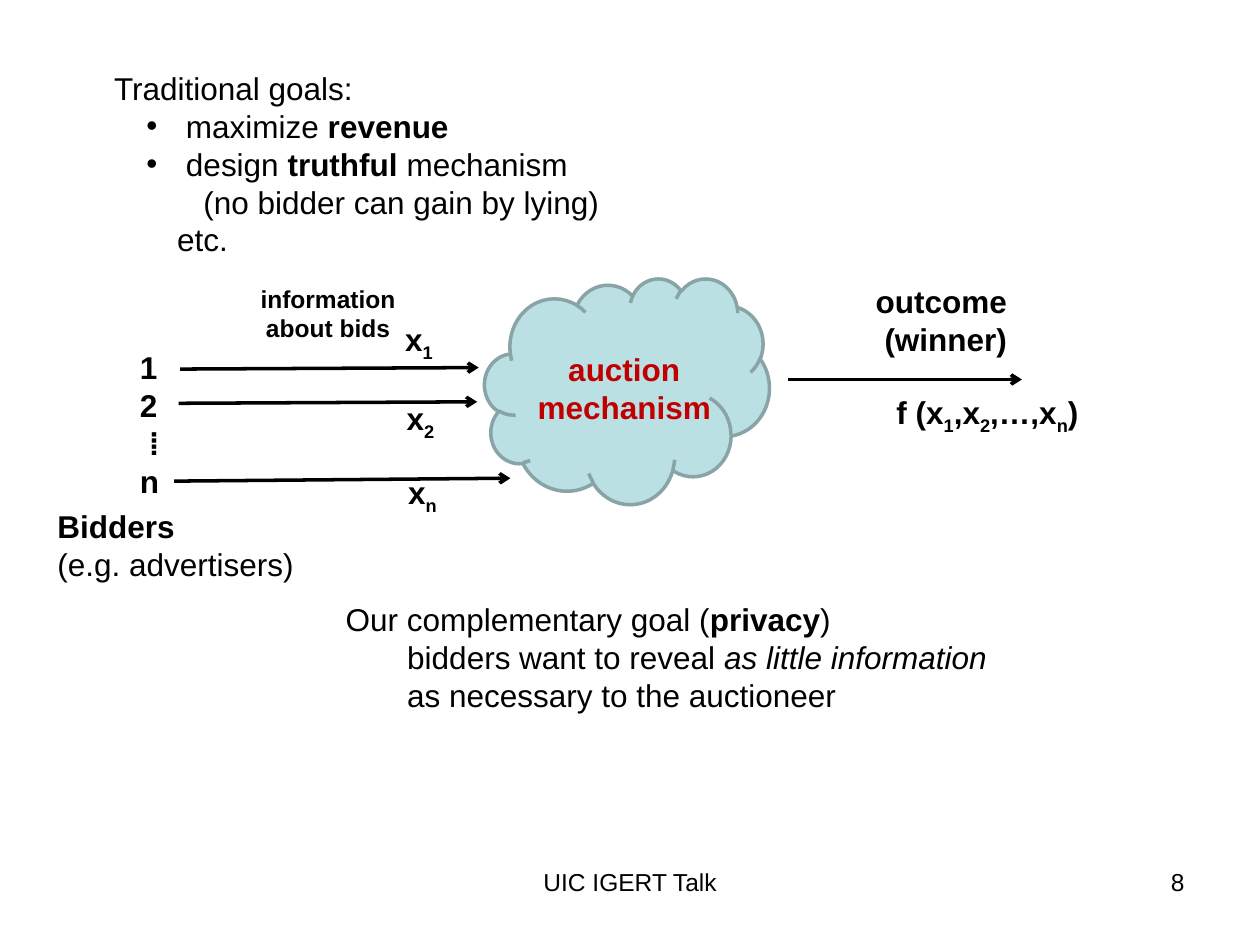
import pptx
import pptx.dml.color
import pptx.enum.shapes
import pptx.enum.text
import pptx.oxml
import pptx.oxml.ns
import pptx.util
from lxml import etree
from pptx.util import Cm

BLACK = pptx.dml.color.RGBColor(0, 0, 0)
RED = pptx.dml.color.RGBColor(0xC0, 0, 0)
CLOUD_FILL = pptx.dml.color.RGBColor(0xBB, 0xE0, 0xE3)
CLOUD_LINE = pptx.dml.color.RGBColor(0x89, 0xA4, 0xA7)

LEFT = pptx.enum.text.PP_ALIGN.LEFT
CENTER = pptx.enum.text.PP_ALIGN.CENTER
RIGHT = pptx.enum.text.PP_ALIGN.RIGHT


def add_child(parent, tag, **attributes):
    return etree.SubElement(parent, pptx.oxml.ns.qn(tag), attributes)


def add_runs(p, parts):
    """Write plain strings, or (text, style) pairs: bold, italic or sub."""
    for part in parts:
        text, style = (part, None) if isinstance(part, str) else part
        r = p.add_run()
        r.text = text
        if style == "bold":
            r.font.bold = True
        elif style == "italic":
            r.font.italic = True
        elif style == "sub":
            r._r.get_or_add_rPr().set("baseline", "-25000")


def add_text(s, x, y, w, h, lines, size=18, bold=False, color=BLACK,
             align=LEFT, margins=(), bullets=()):
    """Add a text box; margins maps line to indent, bullets lists bulleted lines."""
    margins = dict(margins)
    tf = s.shapes.add_textbox(Cm(x), Cm(y), Cm(w), Cm(h)).text_frame
    tf.word_wrap = True
    for i, parts in enumerate(lines):
        p = tf.paragraphs[0] if i == 0 else tf.add_paragraph()
        p.alignment = align
        pPr = p._p.get_or_add_pPr()
        if i in margins:
            pPr.set("marL", str(Cm(margins[i])))
            pPr.set("indent", "0")
        if i in bullets:
            pPr.set("indent", str(Cm(-0.8)))
            add_child(pPr, "a:buFont", typeface="Arial")
            add_child(pPr, "a:buChar", char="•")
        p.font.name = "Arial"
        p.font.size = pptx.util.Pt(size)
        p.font.color.rgb = color
        if bold:
            p.font.bold = True
        add_runs(p, [parts] if isinstance(parts, str) else parts)


def add_arrow(s, x1, y1, x2, y2):
    line = s.shapes.add_connector(pptx.enum.shapes.MSO_CONNECTOR.STRAIGHT,
                                  Cm(x1), Cm(y1), Cm(x2), Cm(y2))
    line.line.color.rgb = BLACK
    line.line.width = pptx.util.Pt(2)
    add_child(line.line._get_or_add_ln(), "a:tailEnd", type="arrow")
    add_child(line._element.spPr, "a:effectLst")


def add_cloud(s, x, y, w, h):
    cloud = s.shapes.add_shape(pptx.enum.shapes.MSO_SHAPE.CLOUD,
                               Cm(x), Cm(y), Cm(w), Cm(h))
    cloud.shadow.inherit = False
    cloud.fill.solid()
    cloud.fill.fore_color.rgb = CLOUD_FILL
    cloud.line.color.rgb = CLOUD_LINE
    cloud.line.width = pptx.util.Pt(2)


def add_goals(s):
    add_text(s, 2.05, 1.27, 10.6, 4.06, [
        "Traditional goals:",
        ["maximize ", ("revenue", "bold")],
        ["design ", ("truthful", "bold"), " mechanism"],
        "(no bidder can gain by lying)",
        "etc.",
    ], margins={1: 1.45, 2: 1.45, 3: 1.8, 4: 1.27}, bullets=(1, 2))
    add_text(s, 6.72, 11.97, 13.9, 2.54, [
        ["Our complementary goal (", ("privacy", "bold"), ")"],
        ["bidders want to reveal ", ("as little information", "italic")],
        "as necessary to the auctioneer",
    ], margins={1: 1.24, 2: 1.24})


def add_bidders(s):
    add_text(s, 0.91, 10.1, 5.5, 1.78,
             [[("Bidders", "bold")], "(e.g. advertisers)"])
    add_text(s, 2.57, 6.9, 1, 3.3, ["1", "2", "⁞", "n"],
             bold=True, margins={2: 0.18})
    add_text(s, 4.85, 5.6, 3.53, 1.45, ["information", "about bids"],
             size=14, bold=True, align=CENTER)
    for x1, y1, x2, y2 in ((3.63, 7.44, 9.65, 7.41),
                           (3.6, 8.13, 9.62, 8.1),
                           (3.51, 9.7, 10.29, 9.64)):
        add_arrow(s, x1, y1, x2, y2)
    for index, x, y in (("1", 7.92, 6.32), ("2", 7.95, 7.92), ("n", 7.98, 9.41)):
        add_text(s, x, y, 1.3, 1.12, [["x", (index, "sub")]], bold=True)


def add_mechanism(s):
    add_cloud(s, 9.77, 5.61, 5.74, 4.55)
    add_text(s, 10.39, 6.93, 4.39, 1.78, ["auction", "mechanism"],
             bold=True, color=RED, align=CENTER)


def add_outcome(s):
    add_arrow(s, 15.88, 7.65, 20.6, 7.65)
    add_text(s, 17.15, 5.56, 3.4, 1.78, ["outcome", "(winner)"],
             bold=True, align=RIGHT)
    add_text(s, 17.82, 7.8, 4.4, 1.12,
             [["f (x", ("1", "sub"), ",x", ("2", "sub"),
               ",…,x", ("n", "sub"), ")"]], bold=True)


def add_footer(s):
    add_text(s, 8.68, 17.35, 8.05, 1.32, ["UIC IGERT Talk"],
             size=14, align=CENTER)
    add_text(s, 18.21, 17.35, 5.92, 1.32, ["8"], size=14, align=RIGHT)


def main():
    prs = pptx.Presentation()
    prs.slide_width, prs.slide_height = Cm(25.4), Cm(19.05)
    s = prs.slides.add_slide(prs.slide_layouts[6])
    add_footer(s)
    add_mechanism(s)
    add_bidders(s)
    add_outcome(s)
    add_goals(s)
    prs.save("out.pptx")


if __name__ == "__main__":
    main()
